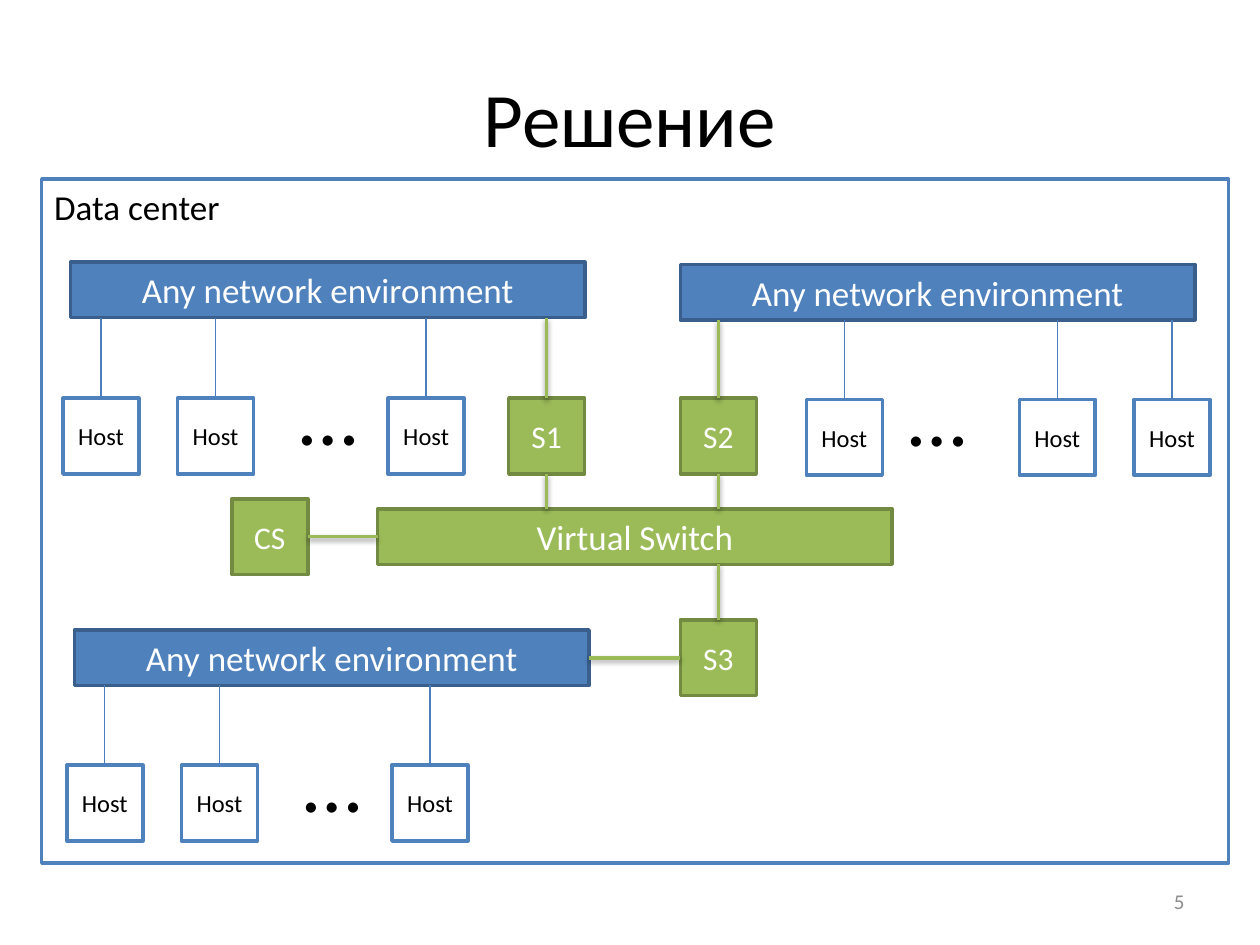
from lxml.etree import SubElement
from pptx import Presentation
from pptx.dml.color import RGBColor
from pptx.enum.shapes import MSO_CONNECTOR as Conn, MSO_SHAPE as Kind
from pptx.enum.text import MSO_ANCHOR as Anchor, PP_ALIGN as Align
from pptx.oxml.ns import qn
from pptx.util import Pt

BLUE, NAVY, WIRE = "4F81BD", "3A5F8C", "4B7EBC"
GREEN, OLIVE = "9BBB59", "738A42"
BLACK, WHITE, GRAY = "000000", "FFFFFF", "8C8C8C"
BOX, WIDE, TALL = 43.4, 294, 31.7

NETS = [
    {"bar": (388.8, 151.2), "hosts": (460.8, 582.5, 648), "y": 228.2, "dots": 502.6},
    {"bar": (40.3, 149.8), "hosts": (36, 101.5, 221.8), "y": 227.5, "dots": 154.8},
    {"bar": (42.6, 360), "hosts": (38.2, 103.7, 224), "y": 437.2, "dots": 157},
]
NODES = [("CS", 132.5, 285), ("S1", 290.7, 227.5), ("S2", 388.8, 227.5), ("S3", 388.8, 354.2)]
SWITCH = (215.8, 290.8)
LINKS = [
    (312.4, 270.9, 312.4, 290.8),
    (410.5, 270.9, 410.5, 290.8),
    (410.5, 227.5, 410.5, 182.9),
    (312.4, 227.5, 312.4, 181.5),
    (175.9, 306.7, 215.8, 306.7),
    (410.5, 354.2, 410.5, 322.5),
    (388.8, 375.9, 336.6, 375.9),
]


def rgb(code):
    return RGBColor.from_string(code)


def write(shape, text, size, color, align=Align.CENTER, anchor=Anchor.MIDDLE):
    frame = shape.text_frame
    frame.word_wrap = True
    frame.vertical_anchor = anchor
    para = frame.paragraphs[0]
    para.text = text
    para.alignment = align
    para.font.name = "Calibri"
    para.font.size = Pt(size)
    para.font.color.rgb = rgb(color)


def label(x, y, w, h, *args, **opts):
    write(slide.shapes.add_textbox(Pt(x), Pt(y), Pt(w), Pt(h)), *args, **opts)


def block(x, y, w, h, fill, edge, *args, **opts):
    shape = slide.shapes.add_shape(Kind.RECTANGLE, Pt(x), Pt(y), Pt(w), Pt(h))
    shape.shadow.inherit = False
    shape.fill.solid()
    shape.fill.fore_color.rgb = rgb(fill)
    shape.line.color.rgb = rgb(edge)
    shape.line.width = Pt(2)
    write(shape, *args, **opts)


def link(ends, color, width, shade=False):
    line = slide.shapes.add_connector(Conn.STRAIGHT, *map(Pt, ends))
    line.line.color.rgb = rgb(color)
    line.line.width = Pt(width)
    effect = SubElement(line._element.spPr, qn("a:effectLst"))
    if shade:
        cast = SubElement(effect, qn("a:outerShdw"), blurRad="40000", dist="20000",
                          dir="5400000", rotWithShape="0")
        tone = SubElement(cast, qn("a:srgbClr"), val=BLACK)
        SubElement(tone, qn("a:alpha"), val="38000")


def network(net):
    x, y = net["bar"]
    top = net["y"]
    block(x, y, WIDE, TALL, BLUE, NAVY, "Any network environment", 20, WHITE)
    for left in net["hosts"]:
        block(left, top, BOX, BOX, WHITE, BLUE, "Host", 14, BLACK)
        mid = left + BOX / 2
        link((mid, top, mid, y + TALL), WIRE, 0.75)
    label(net["dots"], top - 24.4, 66.2, 65.5, "…", 48, BLACK, anchor=Anchor.TOP)


deck = Presentation()
deck.slide_width, deck.slide_height = Pt(720), Pt(540)
slide = deck.slides.add_slide(deck.slide_layouts[6])

block(23.8, 102.2, 678.2, 391, WHITE, BLUE, "Data center", 20, BLACK,
      align=Align.LEFT, anchor=Anchor.TOP)
label(36, 21.6, 648, 90, "Решение", 44, BLACK)
for net in NETS:
    network(net)
label(516, 500.5, 168, 28.8, "5", 12, GRAY, align=Align.RIGHT)
block(*SWITCH, WIDE, TALL, GREEN, OLIVE, "Virtual Switch", 20, WHITE)
for name, x, y in NODES:
    block(x, y, BOX, BOX, GREEN, OLIVE, name, 18, WHITE)
for ends in LINKS:
    link(ends, GREEN, 2, shade=True)

deck.save("out.pptx")
